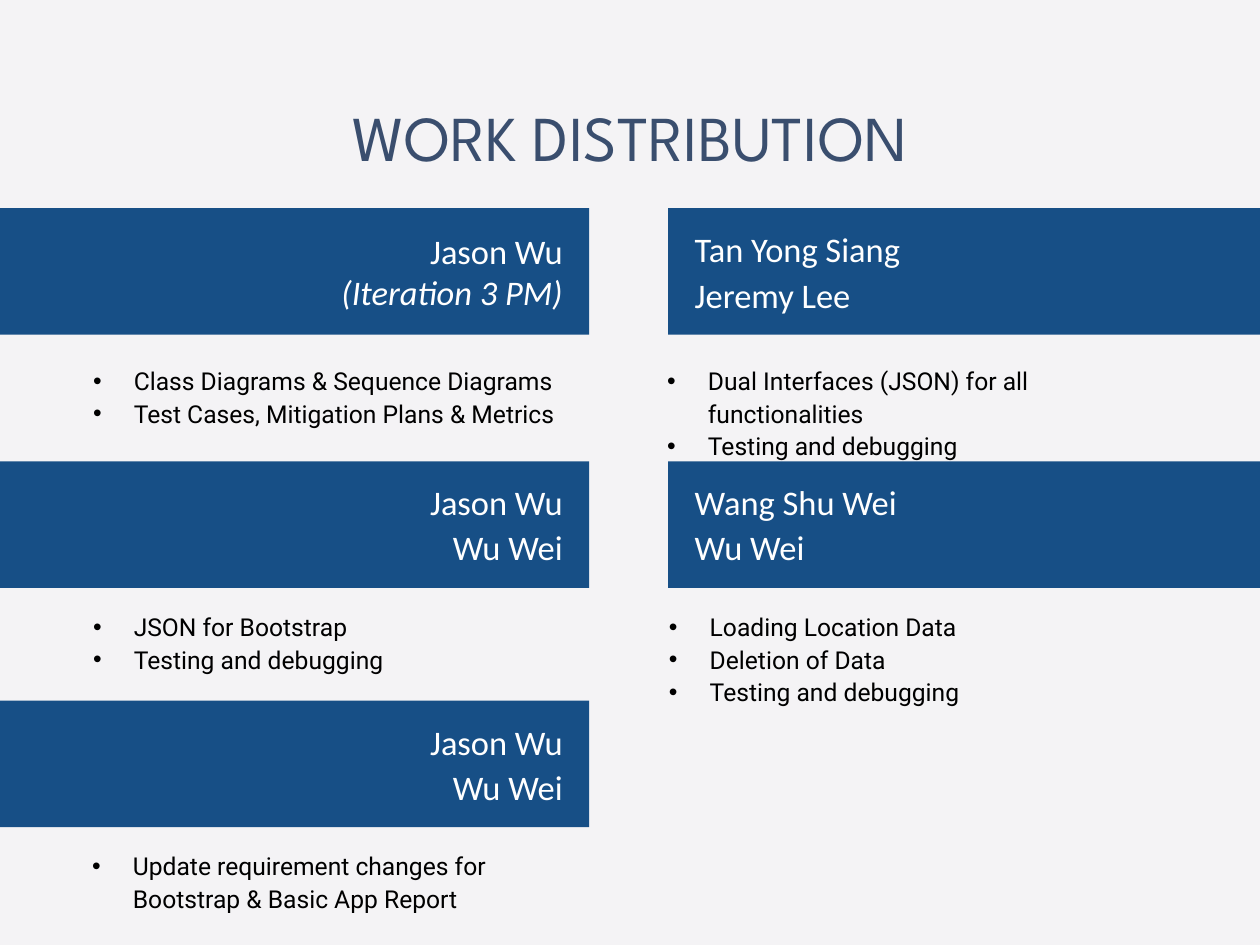
import pptx
import pptx.util
import pptx.dml.color
import pptx.enum.shapes
import pptx.enum.text
import pptx.oxml

PX = 9144  # 100 px to the inch
TEXT = pptx.enum.text
LEFT, RIGHT = TEXT.PP_ALIGN.LEFT, TEXT.PP_ALIGN.RIGHT
TOP, MID = TEXT.MSO_ANCHOR.TOP, TEXT.MSO_ANCHOR.MIDDLE
NS = "http://schemas.openxmlformats.org/drawingml/2006/main"


def color(code):
    return pptx.dml.color.RGBColor.from_string(code)


def write(shape, lines, face, size, code, align, anchor, inset):
    """Fill a shape with one paragraph per line and format them all."""
    frame = shape.text_frame
    frame.text = "\n".join(lines)
    frame.word_wrap = True
    frame.auto_size = TEXT.MSO_AUTO_SIZE.NONE
    frame.vertical_anchor = anchor
    frame.margin_left = frame.margin_right = inset * PX
    frame.margin_top = frame.margin_bottom = inset * PX
    for para in frame.paragraphs:
        para.alignment = align
        para.space_before = pptx.util.Pt(0)
        for run in para.runs:
            run.font.name = face
            run.font.size = pptx.util.Pt(size)
            run.font.bold = False
            run.font.color.rgb = color(code)
    return frame.paragraphs


deck = pptx.Presentation()
deck.slide_width, deck.slide_height = 1422 * PX, 1067 * PX
slide = deck.slides.add_slide(deck.slide_layouts[4])
slide.background.fill.solid()
slide.background.fill.fore_color.rgb = color("F4F3F5")

title = slide.shapes.title
title.left, title.top, title.width, title.height = [
    n * PX for n in (156, 67, 1110, 174)]
write(title, ["WORK DISTRIBUTION"], "League Spartan", 52, "3A4E6E",
      TEXT.PP_ALIGN.CENTER, MID, 6)

# Bands: left, top, width, alignment, gap between names, names
bands = [
    (0, 235, 665, RIGHT, 0, ["Jason Wu", "(Iteration 3 PM)"]),
    (754, 235, 668, LEFT, 4, ["Tan Yong Siang", "Jeremy Lee"]),
    (0, 521, 665, RIGHT, 3, ["Jason Wu", "Wu Wei"]),
    (754, 521, 668, LEFT, 3, ["Wang Shu Wei", "Wu Wei"]),
    (0, 791, 665, RIGHT, 3, ["Jason Wu", "Wu Wei"]),
]
for left, top, width, align, gap, names in bands:
    band = slide.shapes.add_shape(
        pptx.enum.shapes.MSO_SHAPE.RECTANGLE,
        left * PX, top * PX, width * PX, 143 * PX)
    band.shadow.inherit = False
    band.fill.solid()
    band.fill.fore_color.rgb = color("174F86")
    band.line.fill.background()
    paras = write(band, names, "Calibri", 28, "FFFFFF", align, MID, 6)
    for para in paras:
        side = "marR" if align == RIGHT else "marL"
        para._p.get_or_add_pPr().set(side, str(24 * PX))
    paras[1].space_before = pptx.util.Pt(gap)
    if names[1].startswith("("):
        paras[1].runs[0].font.italic = True

# Task lists: left, top, width, items
tasks = [
    (70, 410, 593, ["Class Diagrams & Sequence Diagrams",
                    "Test Cases, Mitigation Plans & Metrics"]),
    (718, 410, 603, ["Dual Interfaces (JSON) for all functionalities",
                     "Testing and debugging"]),
    (70, 688, 593, ["JSON for Bootstrap", "Testing and debugging"]),
    (720, 688, 422, ["Loading Location Data", "Deletion of Data",
                     "Testing and debugging"]),
    (69, 958, 593, ["Update requirement changes for "
                    "Bootstrap & Basic App Report"]),
]
# The layout holds four body placeholders; the fifth list is a text box
boxes = [slide.placeholders[n] for n in (1, 2, 3, 4)]
boxes.append(slide.shapes.add_textbox(0, 0, PX, PX))
for box, (left, top, width, items) in zip(boxes, tasks):
    box.left, box.top = left * PX, top * PX
    box.width, box.height = width * PX, 109 * PX
    for para in write(box, items, "Roboto", 20, "000000", LEFT, TOP, 0):
        para.line_spacing = 1.1
        props = para._p.get_or_add_pPr()
        props.set("marL", str(81 * PX))
        props.set("indent", str(-46 * PX))
        for mark in ('buFont xmlns:a="%s" typeface="Arial"',
                     'buChar xmlns:a="%s" char="•"'):
            props.append(pptx.oxml.parse_xml("<a:" + mark % NS + "/>"))

deck.save("out.pptx")
